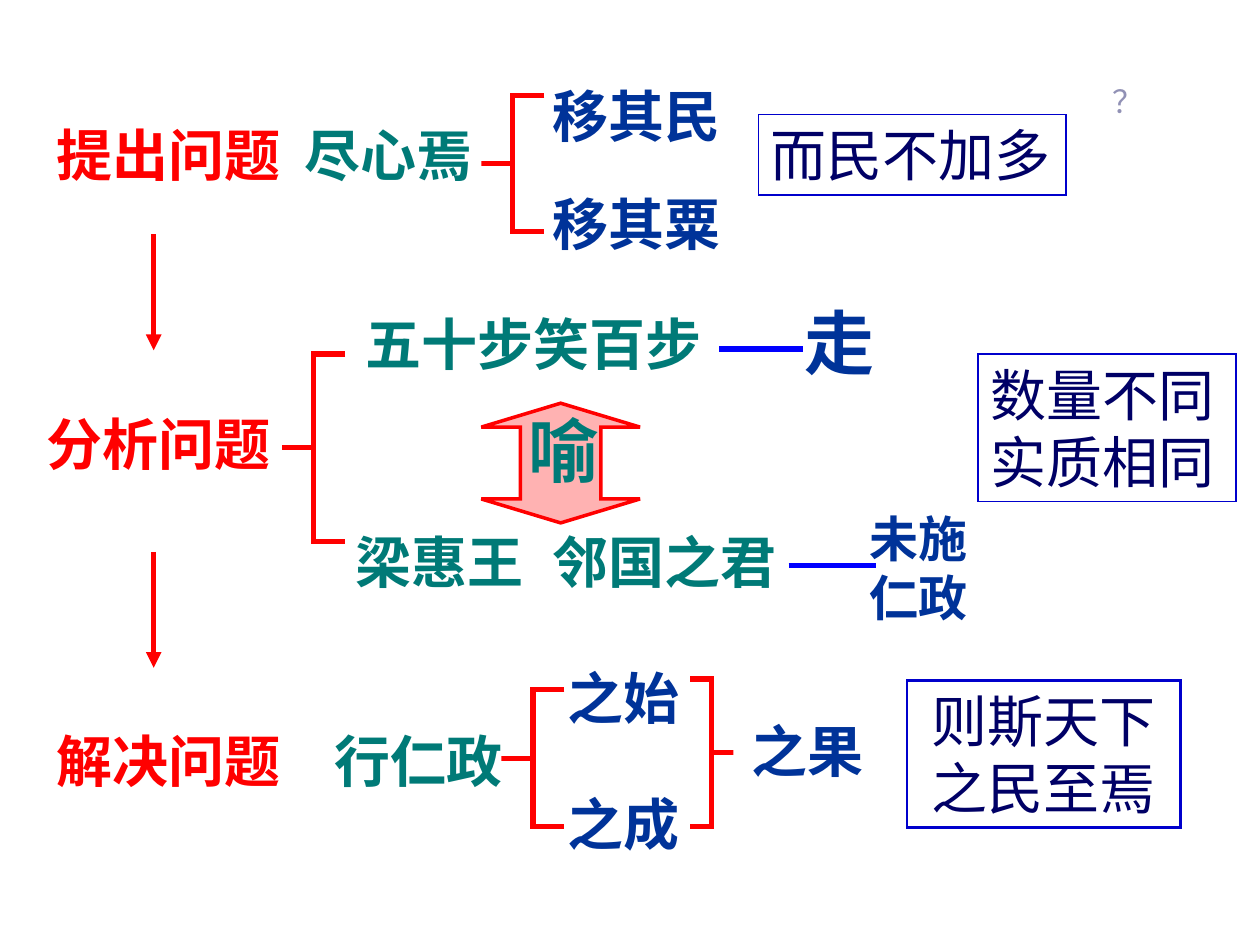
from dataclasses import dataclass

from lxml import etree
from pptx import Presentation
from pptx.dml.color import RGBColor
from pptx.enum.shapes import MSO_CONNECTOR, MSO_SHAPE
from pptx.enum.text import MSO_ANCHOR, MSO_AUTO_SIZE, PP_ALIGN
from pptx.oxml.ns import qn
from pptx.util import Emu, Pt

PX = 9144
RECT = MSO_SHAPE.RECTANGLE
STRAIGHT = MSO_CONNECTOR.STRAIGHT
TOP, MIDDLE = MSO_ANCHOR.TOP, MSO_ANCHOR.MIDDLE
LEFT, CENTER = PP_ALIGN.LEFT, PP_ALIGN.CENTER
GROW, FIXED = MSO_AUTO_SIZE.SHAPE_TO_FIT_TEXT, MSO_AUTO_SIZE.NONE
RED, TEAL, NAVY, BLUE = "FF0000", "007A77", "003399", "0000FF"
INK, FRAME, GREY = "000066", "0000CC", "7979A5"
SERIF, SANS, CJK = "Times New Roman", "Arial", "Noto Sans CJK SC"


@dataclass(frozen=True)
class Label:
    x: int
    y: int
    w: int
    h: int
    text: str
    color: str
    size: int = 32
    bold: bool = True
    font: str = SERIF
    asian: str = SANS
    wrap: bool = True
    auto: MSO_AUTO_SIZE = GROW
    align: PP_ALIGN = LEFT
    spacing: float = 1.0
    frame: float = 0
    alpha: int = 100


@dataclass(frozen=True)
class Bracket:
    ends: int
    spine: int
    tip: int
    top: int
    middle: int
    bottom: int


@dataclass(frozen=True)
class Line:
    x1: int
    y1: int
    x2: int
    y2: int
    color: str
    arrow: bool = False


LABELS = [
    Label(35, 91, 227, 64, "提出问题", RED),
    Label(27, 320, 235, 64, "分析问题", RED),
    Label(35, 572, 227, 64, "解决问题", RED),
    Label(232, 91, 165, 64, "尽心焉", TEAL),
    Label(280, 241, 316, 64, "五十步笑百步", TEAL),
    Label(272, 414, 182, 64, "梁惠王", TEAL),
    Label(429, 414, 221, 64, "邻国之君", TEAL),
    Label(256, 572, 165, 64, "行仁政", TEAL),
    Label(429, 28, 165, 181, "移其民\n移其粟", NAVY, spacing=1.6),
    Label(441, 522, 120, 64, "之始", NAVY),
    Label(441, 622, 120, 64, "之成", NAVY),
    Label(587, 564, 126, 64, "之果", NAVY),
    Label(629, 233, 85, 77, "走", NAVY, 40),
    Label(680, 399, 102, 104, "未施\n仁政", NAVY, 28),
    Label(873, 60, 50, 112, "？", GREY, 18, False, CJK, CJK, auto=FIXED, alpha=82),
    Label(602, 91, 244, 64, "而民不加多", INK, bold=False, frame=1),
    Label(776, 281, 205, 117, "数量不同\n实质相同", INK, bold=False, font=SANS, frame=1),
    Label(720, 540, 217, 117, "则斯天下之民至焉", INK, bold=False, align=CENTER, frame=1.5),
]
METAPHOR = Label(382, 320, 126, 95, "喻", TEAL, 40, wrap=False, auto=FIXED, align=CENTER)
BRACKETS = [
    Bracket(432, 407, 382, 76, 130, 184),
    Bracket(274, 249, 224, 281, 355, 430),
    Bracket(448, 423, 398, 547, 602, 656),
    Bracket(548, 565, 582, 539, 597, 656),
]
LINES = [
    Line(122, 186, 122, 278, RED, True),
    Line(122, 438, 122, 530, RED, True),
    Line(571, 277, 637, 277, BLUE),
    Line(626, 449, 695, 449, BLUE),
]


def px(n: int) -> Emu:
    """Turn pixels into EMU."""
    return Emu(n * PX)


def paint(fmt, color: str, alpha: int = 100) -> None:
    """Give a fill a solid colour and an opacity in percent."""
    fmt.solid()
    fmt.fore_color.rgb = RGBColor.from_string(color)
    if alpha < 100:
        node = fmt._xPr.find(qn("a:solidFill"))[0]
        etree.SubElement(node, qn("a:alpha")).set("val", str(alpha * 1000))


def stroke(s, color: str, width: float) -> None:
    """Set the colour and width of an outline with sharp corners."""
    paint(s.line.fill, color)
    s.line.width = Pt(width)
    etree.SubElement(s.line._get_or_add_ln(), qn("a:miter")).set("lim", "800000")


def write(s, label: Label, anchor: MSO_ANCHOR = TOP) -> None:
    """Write the paragraphs of a label into a shape."""
    tf = s.text_frame
    tf.word_wrap, tf.auto_size, tf.vertical_anchor = label.wrap, label.auto, anchor
    for i, text in enumerate(label.text.split("\n")):
        p = tf.add_paragraph() if i else tf.paragraphs[0]
        p.alignment, p.line_spacing = label.align, label.spacing
        r = p.add_run()
        r.text = text
        r.font.name, r.font.size, r.font.bold = label.font, Pt(label.size), label.bold
        paint(r.font.fill, label.color, label.alpha)
        props = r._r.get_or_add_rPr()
        props.set("lang", "zh-CN")
        ea = etree.Element(qn("a:ea"), typeface=label.asian)
        props.find(qn("a:latin")).addnext(ea)


def draw_label(shapes, label: Label) -> None:
    """Draw a label as a text box or as a framed rectangle."""
    box = px(label.x), px(label.y), px(label.w), px(label.h)
    if label.frame:
        s = shapes.add_shape(RECT, *box)
        s.shadow.inherit = False
        s.fill.background()
        stroke(s, FRAME, label.frame)
    else:
        s = shapes.add_textbox(*box)
    write(s, label)


def draw_outline(shapes, points: list[tuple[int, int]], close: bool, width: float):
    """Draw a red outline through the points and return its shape."""
    builder = shapes.build_freeform(*points[0], scale=PX)
    builder.add_line_segments(points[1:], close=close)
    s = builder.convert_to_shape()
    s.shadow.inherit = False
    s.fill.background()
    stroke(s, RED, width)
    return s


def draw_metaphor(shapes, label: Label, head: int = 19) -> None:
    """Draw the double arrow that joins the two halves of the metaphor."""
    left, right, middle = label.x, label.x + label.w, label.x + label.w // 2
    top, bottom = label.y, label.y + label.h
    inner_left, inner_right = left + label.w // 4, right - label.w // 4
    upper, lower = top + head, bottom - head
    points = [
        (middle, top), (right, upper), (inner_right, upper), (inner_right, lower),
        (right, lower), (middle, bottom), (left, lower), (inner_left, lower),
        (inner_left, upper), (left, upper),
    ]
    s = draw_outline(shapes, points, True, 2)
    paint(s.fill, RED, 30)
    write(s, label, MIDDLE)
    tf = s.text_frame
    tf.margin_left = tf.margin_right = px(5)
    tf.margin_top = tf.margin_bottom = px(10)
    tf._txBody.bodyPr.set("vert", "eaVert")


def draw_bracket(shapes, b: Bracket) -> None:
    """Draw a square bracket with a tip in the middle of its spine."""
    points = [
        (b.ends, b.top), (b.spine, b.top), (b.spine, b.middle), (b.tip, b.middle),
        (b.spine, b.middle), (b.spine, b.bottom), (b.ends, b.bottom),
    ]
    draw_outline(shapes, points, False, 3)


def draw_line(shapes, line: Line) -> None:
    """Draw a straight line, with an arrowhead if asked."""
    s = shapes.add_connector(STRAIGHT, px(line.x1), px(line.y1), px(line.x2), px(line.y2))
    stroke(s, line.color, 3)
    if line.arrow:
        etree.SubElement(s.line._get_or_add_ln(), qn("a:tailEnd")).set("type", "triangle")
    etree.SubElement(s._element.spPr, qn("a:effectLst"))


def main() -> None:
    """Build the slide and save it."""
    prs = Presentation()
    prs.slide_width, prs.slide_height = px(1000), px(750)
    shapes = prs.slides.add_slide(prs.slide_layouts[6]).shapes
    draw_metaphor(shapes, METAPHOR)
    for bracket in BRACKETS:
        draw_bracket(shapes, bracket)
    for line in LINES:
        draw_line(shapes, line)
    for label in LABELS:
        draw_label(shapes, label)
    prs.save("out.pptx")


if __name__ == "__main__":
    main()
